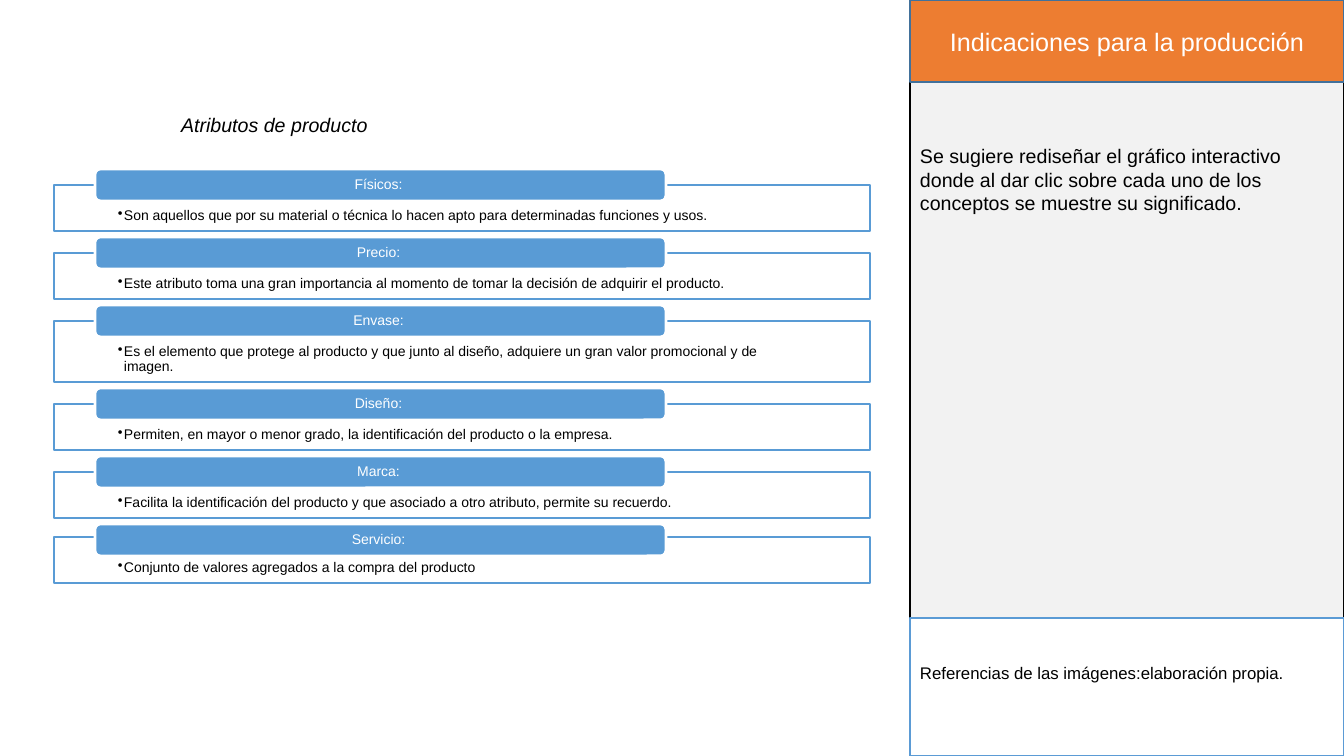
from lxml import etree
from pptx import Presentation
from pptx import util as u
from pptx.dml.color import RGBColor
from pptx.enum import shapes, text
from pptx.oxml.ns import qn

# Content
TITLE = "Atributos de producto"
ATTRIBUTES = [
    # heading, meaning, box height, box offset below the heading's top
    ("Físicos: ", "Son aquellos que por su material o técnica lo hacen apto para "
     "determinadas funciones y usos.", 46, 16),
    ("Precio: ", "Este atributo toma una gran importancia al momento de tomar la "
     "decisión de adquirir el producto.", 46, 16),
    ("Envase: ", "Es el elemento que protege al producto y que junto al diseño, "
     "adquiere un gran valor promocional y de imagen.", 61, 16),
    ("Diseño: ", "Permiten, en mayor o menor grado, la identificación del producto "
     "o la empresa.", 46, 16),
    ("Marca: ", "Facilita la identificación del producto y que asociado a otro "
     "atributo, permite su recuerdo.", 46, 16),
    ("Servicio: ", "Conjunto de valores agregados a la compra del producto", 46, 13),
]
PANEL_HEADING = "Indicaciones para la producción"
PANEL_BODY = ("Se sugiere rediseñar el gráfico interactivo donde al dar clic sobre "
              "cada uno de los conceptos se muestre su significado.")
PANEL_FOOTER = "Referencias de las imágenes:elaboración propia."

# Colours and font
BLACK = RGBColor(0x00, 0x00, 0x00)
WHITE = RGBColor(0xFF, 0xFF, 0xFF)
GREY = RGBColor(0xF2, 0xF2, 0xF2)
ORANGE = RGBColor(0xED, 0x7D, 0x31)
BLUE = RGBColor(0x59, 0x9B, 0xD5)
FOOTER_BLUE = RGBColor(0x5B, 0x9B, 0xD5)
DARK_BLUE = RGBColor(0x42, 0x71, 0x9B)
FONT = "Arial"

# Layout in px
PX_PER_INCH = 100.8
SLIDE_WIDTH, SLIDE_HEIGHT = 1344, 756
PANEL_LEFT, PANEL_WIDTH = 910, 434
HEADER_HEIGHT, FOOTER_TOP = 82, 618
BOX_LEFT, BOX_WIDTH = 54, 816
PILL_LEFT, PILL_WIDTH, PILL_HEIGHT = 95, 571, 32
FIRST_PILL_TOP, ROW_GAP = 169, 22
BULLET_INDENT = 6


def px(length):
    return u.Emu(round(length * 914400 / PX_PER_INCH))


def write(shape, words, size=10, color=BLACK, align=text.PP_ALIGN.LEFT,
          anchor=text.MSO_ANCHOR.TOP, insets=(10, 5, 10, 5), spacing=None,
          italic=False, bullet=False):
    frame = shape.text_frame
    frame.word_wrap = True
    frame.vertical_anchor = anchor
    (frame.margin_left, frame.margin_top,
     frame.margin_right, frame.margin_bottom) = map(px, insets)
    paragraph = frame.paragraphs[0]
    paragraph.alignment = align
    if spacing:
        paragraph.line_spacing = spacing
    run = paragraph.add_run()
    run.text = words
    run.font.name = FONT
    run.font.size = u.Pt(size)
    run.font.italic = italic
    run.font.color.rgb = color
    if bullet:
        properties = paragraph._p.get_or_add_pPr()
        properties.set("marL", str(px(BULLET_INDENT)))
        properties.set("indent", str(-px(BULLET_INDENT)))
        etree.SubElement(properties, qn("a:buChar")).set("char", "•")


def add_block(slide, kind, left, top, width, height, fill, line, weight=1):
    shape = slide.shapes.add_shape(kind, px(left), px(top), px(width), px(height))
    shape.shadow.inherit = False
    shape.fill.solid()
    shape.fill.fore_color.rgb = fill
    shape.line.color.rgb = line
    shape.line.width = u.Pt(weight)
    return shape


def main():
    presentation = Presentation()
    presentation.slide_width = px(SLIDE_WIDTH)
    presentation.slide_height = px(SLIDE_HEIGHT)
    slide = presentation.slides.add_slide(presentation.slide_layouts[6])
    rectangle = shapes.MSO_SHAPE.RECTANGLE
    center, middle = text.PP_ALIGN.CENTER, text.MSO_ANCHOR.MIDDLE

    # Instructions panel
    panel = add_block(slide, rectangle, PANEL_LEFT, 0, PANEL_WIDTH, SLIDE_HEIGHT,
                      GREY, BLACK)
    write(panel, PANEL_BODY, size=14, insets=(10, 144, 10, 5))
    header = add_block(slide, rectangle, PANEL_LEFT, 0, PANEL_WIDTH, HEADER_HEIGHT,
                       ORANGE, DARK_BLUE)
    write(header, PANEL_HEADING, size=18, color=WHITE, align=center, anchor=middle)
    footer = add_block(slide, rectangle, PANEL_LEFT, FOOTER_TOP, PANEL_WIDTH,
                       SLIDE_HEIGHT - FOOTER_TOP, WHITE, FOOTER_BLUE)
    write(footer, PANEL_FOOTER, size=12, anchor=middle, insets=(10, 5, 10, 33))

    # Attribute list
    pill_top = FIRST_PILL_TOP
    for heading, meaning, height, offset in ATTRIBUTES:
        box = add_block(slide, rectangle, BOX_LEFT, pill_top + offset, BOX_WIDTH,
                        height, WHITE, BLUE, weight=2)
        write(box, meaning, spacing=0.9, insets=(64, 23, 64, 8), bullet=True)
        pill = add_block(slide, shapes.MSO_SHAPE.ROUNDED_RECTANGLE, PILL_LEFT,
                         pill_top, PILL_WIDTH, PILL_HEIGHT, BLUE, WHITE, weight=2)
        write(pill, heading, color=WHITE, align=center, anchor=middle,
              spacing=0.9, insets=(21, 0, 21, 0))
        pill_top += height + ROW_GAP

    # Title
    title = slide.shapes.add_textbox(px(162), px(104), px(253), px(35))
    write(title, TITLE, size=14, italic=True, spacing=1.15,
          align=text.PP_ALIGN.JUSTIFY, insets=(19, 5, 10, 5))

    presentation.save("out.pptx")


if __name__ == "__main__":
    main()
